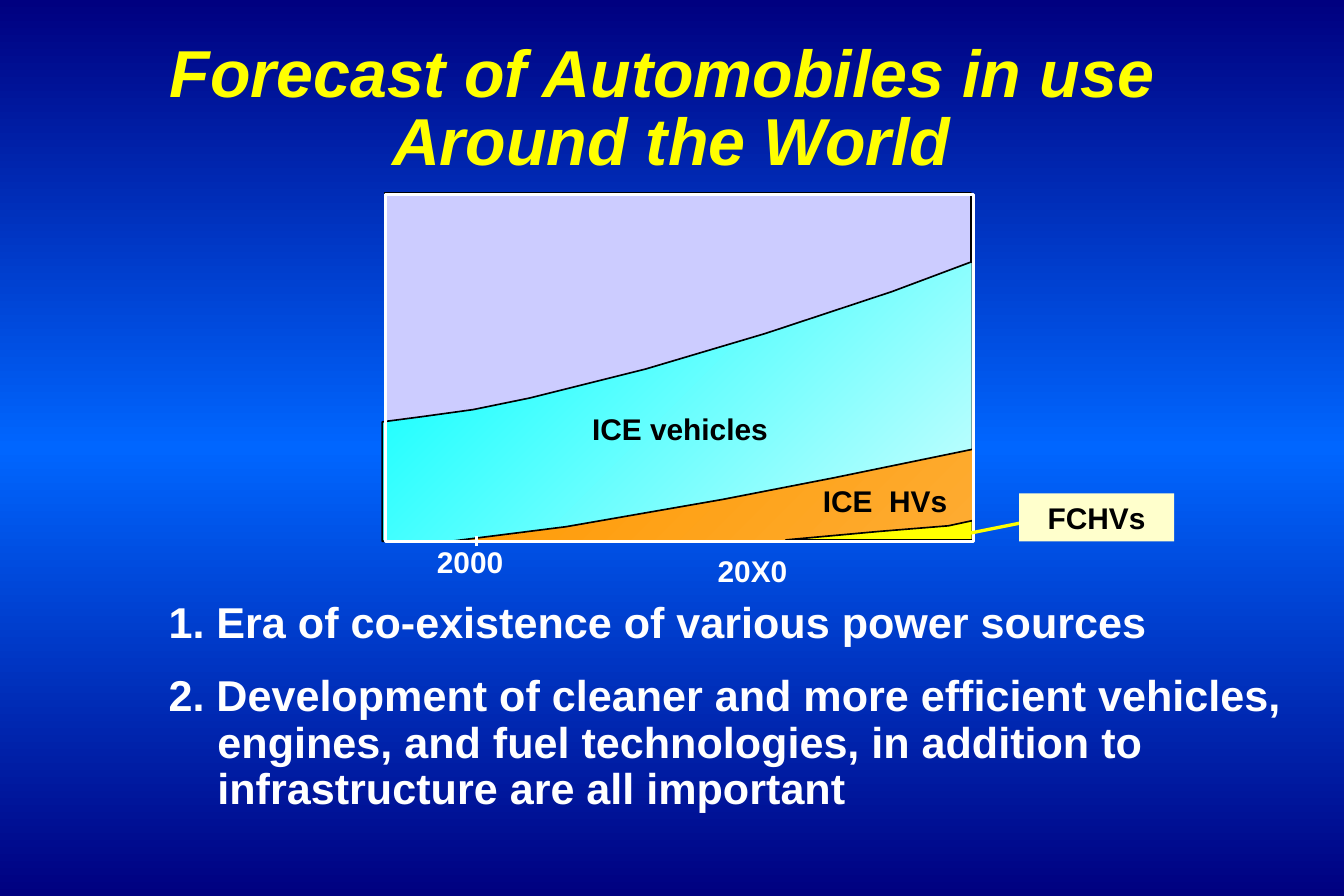
from copy import deepcopy
from dataclasses import dataclass

from lxml import etree
from pptx import Presentation, util as u
from pptx.dml.color import RGBColor
from pptx.enum import shapes, text
from pptx.oxml.ns import qn


@dataclass(frozen=True)
class Theme:
    font: str = "Arial"
    title_size: int = 40
    body_size: int = 26
    label_size: int = 18
    navy: RGBColor = RGBColor(0x00, 0x00, 0x80)
    blue: RGBColor = RGBColor(0x00, 0x66, 0xFF)
    yellow: RGBColor = RGBColor(0xFF, 0xFF, 0x00)
    white: RGBColor = RGBColor(0xFF, 0xFF, 0xFF)
    black: RGBColor = RGBColor(0x00, 0x00, 0x00)
    lavender: RGBColor = RGBColor(0xCC, 0xCC, 0xFF)
    pale_cyan: RGBColor = RGBColor(0xCB, 0xFE, 0xFE)
    cyan: RGBColor = RGBColor(0x00, 0xFF, 0xFF)
    light_orange: RGBColor = RGBColor(0xFE, 0xAC, 0x32)
    orange: RGBColor = RGBColor(0xFF, 0x99, 0x00)
    cream: RGBColor = RGBColor(0xFF, 0xFF, 0xCC)


theme = Theme()


def style(paragraph, size, color, italic=False):
    font = paragraph.font
    font.name, font.size, font.bold, font.italic = theme.font, u.Pt(size), True, italic
    font.color.rgb = color
    if color == theme.white:
        for run in paragraph.runs:
            effects = etree.SubElement(run.font._element, qn("a:effectLst"))
            shadow = etree.SubElement(effects, qn("a:outerShdw"), dist="25400", dir="2700000")
            etree.SubElement(shadow, qn("a:srgbClr"), val=str(theme.black))


def add_box(left, top, width, height, fill=None, line=None, weight=1):
    box = slide.shapes.add_shape(shapes.MSO_SHAPE.RECTANGLE,
                                 u.Cm(left), u.Cm(top), u.Cm(width), u.Cm(height))
    box.shadow.inherit = False
    if fill is None:
        box.fill.background()
    else:
        box.fill.solid()
        box.fill.fore_color.rgb = fill
    if line is None:
        box.line.fill.background()
    else:
        box.line.color.rgb = line
        box.line.width = u.Pt(weight)
    return box


deck = Presentation()
deck.slide_width, deck.slide_height = u.Cm(28.58), u.Cm(19.05)
slide = deck.slides.add_slide(deck.slide_layouts[1])

sky = slide.background.fill
sky.gradient()
sky.gradient_angle = 270
stop_list = slide.element.find(".//" + qn("a:gsLst"))
stop_list.append(deepcopy(stop_list[0]))
for stop, position, color in zip(sky.gradient_stops, (0, 0.5, 1),
                                 (theme.navy, theme.blue, theme.navy)):
    stop.position, stop.color.rgb = position, color

title, points = slide.placeholders
title.left, title.top, title.width, title.height = (u.Cm(v) for v in (2.16, 0.81, 24.23, 3.12))
title.text_frame.text = "Forecast of Automobiles in use \vAround the World"
title.text_frame.vertical_anchor = text.MSO_ANCHOR.MIDDLE
title.text_frame.auto_size = text.MSO_AUTO_SIZE.NONE
heading = title.text_frame.paragraphs[0]
heading.alignment = text.PP_ALIGN.CENTER
heading.line_spacing = 0.85
style(heading, theme.title_size, theme.yellow, italic=True)

points.left, points.top, points.width, points.height = (u.Cm(v) for v in (3.33, 12.65, 24.54, 4.8))
points.text_frame.text = (
    "1. Era of co-existence of various power sources\n"
    "2. Development of cleaner and more efficient vehicles, engines, "
    "and fuel technologies, in addition to infrastructure are all important"
)
points.text_frame.vertical_anchor = text.MSO_ANCHOR.TOP
points.text_frame.auto_size = text.MSO_AUTO_SIZE.NONE
for number, point in enumerate(points.text_frame.paragraphs):
    point.line_spacing = 0.9
    point.space_before = u.Pt(16.2 if number else 0)
    properties = point._p.get_or_add_pPr()
    properties.set("marL", str(u.Cm(1.04)))
    properties.set("indent", str(-u.Cm(1.04)))
    etree.SubElement(properties, qn("a:buNone"))
    style(point, theme.body_size, theme.white)

add_box(8.18, 4.11, 12.47, 7.37, theme.lavender, theme.black)

areas = [
    ((theme.pale_cyan, theme.cyan),
     [(8.13, 8.97), (8.13, 11.51), (20.68, 11.51), (20.68, 5.56), (18.97, 6.2),
      (16.28, 7.09), (13.72, 7.85), (11.28, 8.46), (10.06, 8.71), (8.97, 8.86)]),
    ((theme.light_orange, theme.orange),
     [(9.58, 11.51), (12.04, 11.2), (15.37, 10.62), (17.73, 10.16),
      (20.7, 9.55), (20.7, 11.51)]),
    ((theme.yellow,),
     [(16.71, 11.48), (18.69, 11.3), (20.17, 11.18), (20.68, 11.07), (20.68, 11.48)]),
]
for colors, outline in areas:
    corners = [(u.Cm(x), u.Cm(y)) for x, y in outline]
    builder = slide.shapes.build_freeform(*corners[0])
    builder.add_line_segments(corners[1:], close=True)
    area = builder.convert_to_shape()
    area.shadow.inherit = False
    area.line.color.rgb = theme.black
    area.line.width = u.Pt(1)
    if len(colors) == 1:
        area.fill.solid()
        area.fill.fore_color.rgb = colors[0]
    else:
        area.fill.gradient()
        area.fill.gradient_angle = 135
        for stop, position, color in zip(area.fill.gradient_stops, (0, 1), colors):
            stop.position, stop.color.rgb = position, color

add_box(8.2, 4.14, 12.5, 7.37, line=theme.white, weight=2)

for ends, color, arrow in [((10.13, 11.61, 10.13, 11.4), theme.white, False),
                           ((22.56, 10.95, 20.4, 11.38), theme.yellow, True)]:
    connector = slide.shapes.add_connector(shapes.MSO_CONNECTOR.STRAIGHT,
                                           *(u.Cm(v) for v in ends))
    connector.line.color.rgb = color
    connector.line.width = u.Pt(2)
    if arrow:
        etree.SubElement(connector.line._get_or_add_ln(), qn("a:tailEnd"), type="stealth")
    etree.SubElement(connector._element.spPr, qn("a:effectLst"))

for caption, left, top, width, color in [
    ("2000", 9.04, 11.43, 3.33, theme.white),
    ("20X0", 15.01, 11.63, 3.02, theme.white),
    ("ICE vehicles", 12.34, 8.61, 4.27, theme.black),
    ("ICE  HVs", 17.25, 10.13, 3.15, theme.black),
]:
    label = slide.shapes.add_textbox(u.Cm(left), u.Cm(top), u.Cm(width), u.Cm(1.02))
    label.text_frame.text = caption
    label.text_frame.word_wrap = color == theme.white
    style(label.text_frame.paragraphs[0], theme.label_size, color)

fuel_cell = add_box(21.67, 10.49, 3.3, 1.02, theme.cream)
fuel_cell.text_frame.text = "FCHVs"
fuel_cell.text_frame.paragraphs[0].alignment = text.PP_ALIGN.CENTER
style(fuel_cell.text_frame.paragraphs[0], theme.label_size, theme.black)

deck.save("out.pptx")
